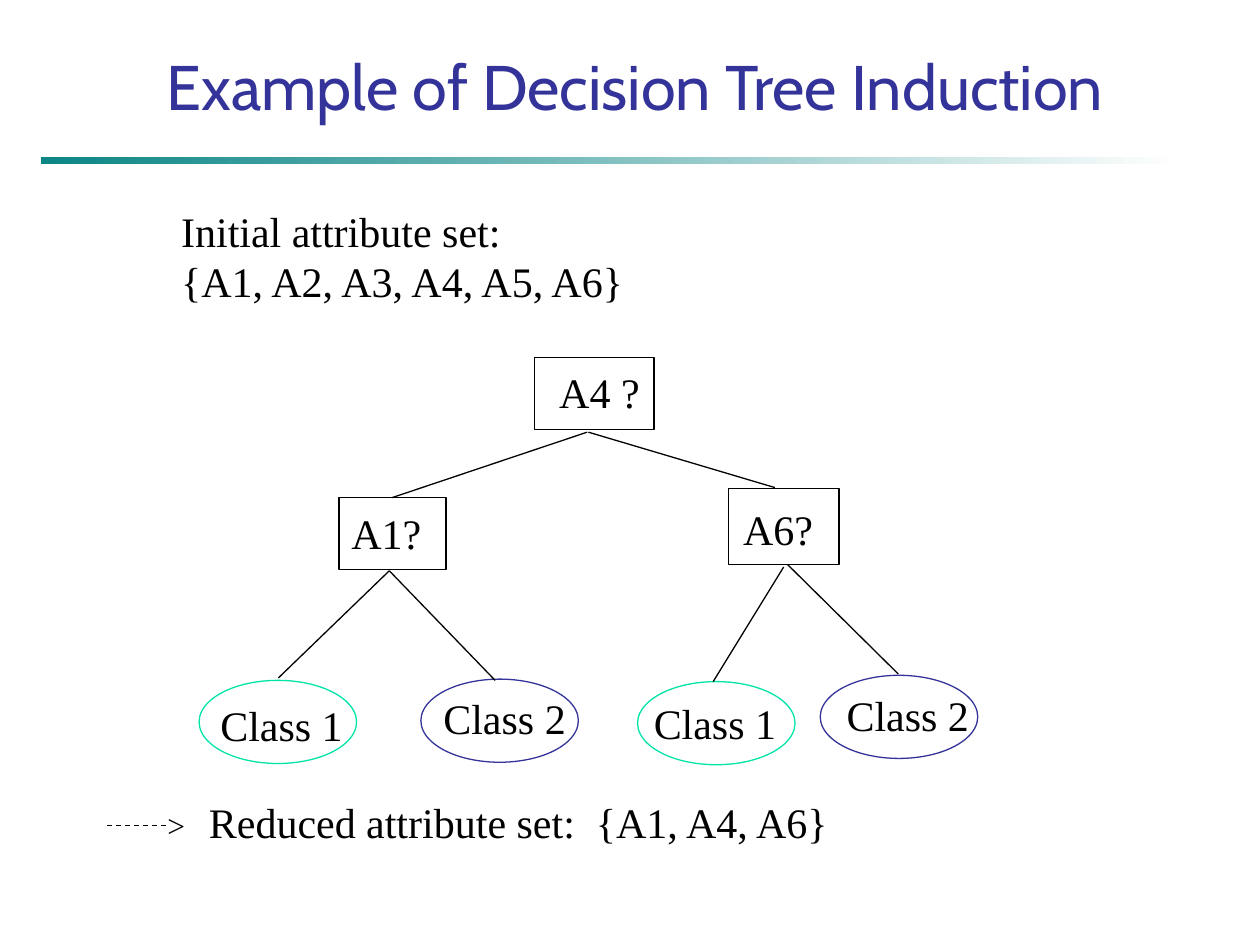
from lxml import etree
from pptx import Presentation
from pptx.dml.color import RGBColor
from pptx.enum.dml import MSO_LINE
from pptx.enum.shapes import MSO_CONNECTOR, MSO_SHAPE
from pptx.enum.text import MSO_ANCHOR, MSO_AUTO_SIZE, PP_ALIGN
from pptx.oxml.ns import qn
from pptx.util import Inches, Pt

RECTANGLE, OVAL = MSO_SHAPE.RECTANGLE, MSO_SHAPE.OVAL
STRAIGHT = MSO_CONNECTOR.STRAIGHT
DASH = MSO_LINE.DASH
CENTER, TOP = PP_ALIGN.CENTER, MSO_ANCHOR.TOP
FIT_SHAPE = MSO_AUTO_SIZE.SHAPE_TO_FIT_TEXT

THEME = {
    "title": {"name": "Cabin", "size": Pt(36), "color": "333399", "bold": False},
    "body": {"name": "Times New Roman", "size": Pt(24), "color": "000000"},
    "arrow": {"name": "Times New Roman", "size": Pt(18), "color": "000000"},
    "line": "000000",
    "class_1": "00E4A8",
    "class_2": "333399",
    "rule": ("008080", "FFFFFF"),
    "rule_opacity": 95,
    "line_width": Pt(0.75),
}

TITLE = "Example of Decision Tree Induction"
TITLE_BOX = (0.83, 0.33, 8.42, 1.3)
RULE_BOX = (0.33, 1.25, 9, 0.05)

NOTES = [
    (["Initial attribute set:", "{A1, A2, A3, A4, A5, A6}"], (1.34, 1.58, 3.8, 0.9)),
    (["Reduced attribute set:  {A1, A4, A6}"], (1.56, 6.27, 5.15, 0.5)),
]

TESTS = [
    ("A4 ?", (4.24, 2.84, 0.95, 0.57), (4.34, 2.86, 0.97, 0.5)),
    ("A1?", (2.69, 3.95, 0.85, 0.57), (2.69, 3.98, 0.8, 0.5)),
    ("A6?", (5.78, 3.88, 0.88, 0.6), (5.8, 3.95, 0.8, 0.5)),
]

LEAF_SIZE = (1.25, 0.66)
LEAF_LABEL_SIZE = (1.18, 0.5)
LEAVES = [
    ("Class 1", "class_1", (1.58, 5.4), (1.65, 5.5)),
    ("Class 2", "class_2", (3.34, 5.39), (3.42, 5.45)),
    ("Class 1", "class_1", (5.06, 5.41), (5.09, 5.49)),
    ("Class 2", "class_2", (6.51, 5.36), (6.62, 5.42)),
]

BRANCHES = [
    ((4.66, 3.43), (3.11, 3.95)),
    ((4.67, 3.43), (6.15, 3.87)),
    ((3.09, 4.53), (2.21, 5.38)),
    ((3.09, 4.53), (3.93, 5.4)),
    ((6.22, 4.5), (5.66, 5.41)),
    ((6.25, 4.48), (7.13, 5.35)),
]

ARROW_LINE = ((0.85, 6.55), (1.33, 6.55))
ARROW_HEAD = (">", (1.23, 6.35, 0.34, 0.4))


def inches(values):
    return [Inches(value) for value in values]


def set_format(target, values):
    for name, value in values.items():
        if name == "color":
            target.color.rgb = RGBColor.from_string(value)
        else:
            setattr(target, name, value)


def add_text(shapes, lines, box, style="body"):
    frame = shapes.add_textbox(*inches(box)).text_frame
    set_format(frame, {"text": "\n".join(lines), "word_wrap": False, "auto_size": FIT_SHAPE})
    for paragraph in frame.paragraphs:
        set_format(paragraph.font, THEME[style])


def add_outline(shapes, kind, box, color):
    shape = shapes.add_shape(kind, *inches(box))
    shape.shadow.inherit = False
    shape.fill.background()
    set_format(shape.line, {"color": THEME[color], "width": THEME["line_width"]})


def add_line(shapes, start, end, dash=None):
    connector = shapes.add_connector(STRAIGHT, *inches(start + end))
    set_format(connector.line, {"color": THEME["line"], "width": THEME["line_width"]})
    if dash:
        connector.line.dash_style = dash
    etree.SubElement(connector._element.spPr, qn("a:effectLst"))


def add_rule(shapes):
    rule = shapes.add_shape(RECTANGLE, *inches(RULE_BOX))
    rule.shadow.inherit = False
    rule.line.fill.background()
    rule.fill.gradient()
    rule.fill.gradient_angle = 0
    for position, (stop, color) in enumerate(zip(rule.fill.gradient_stops, THEME["rule"])):
        stop.position = position
        stop.color.rgb = RGBColor.from_string(color)
    first_color = next(rule._element.spPr.iter(qn("a:srgbClr")))
    etree.SubElement(first_color, qn("a:alpha"), val=str(THEME["rule_opacity"] * 1000))


def add_title(slide):
    title = slide.shapes.title
    left, top, width, height = inches(TITLE_BOX)
    set_format(title, {"left": left, "top": top, "width": width, "height": height})
    frame = title.text_frame
    set_format(frame, {"text": TITLE, "vertical_anchor": TOP, "word_wrap": True})
    paragraph = frame.paragraphs[0]
    paragraph.alignment = CENTER
    set_format(paragraph.font, THEME["title"])


def main():
    presentation = Presentation()
    presentation.slide_width, presentation.slide_height = Inches(10), Inches(7.5)
    slide = presentation.slides.add_slide(presentation.slide_layouts[5])
    shapes = slide.shapes

    add_rule(shapes)
    add_title(slide)
    for lines, box in NOTES:
        add_text(shapes, lines, box)
    for label, box, label_box in TESTS:
        add_outline(shapes, RECTANGLE, box, "line")
        add_text(shapes, [label], label_box)
    for label, color, position, label_position in LEAVES:
        add_outline(shapes, OVAL, position + LEAF_SIZE, color)
        add_text(shapes, [label], label_position + LEAF_LABEL_SIZE)
    for start, end in BRANCHES:
        add_line(shapes, start, end)

    arrow = shapes.add_group_shape()
    add_line(arrow.shapes, *ARROW_LINE, dash=DASH)
    head, head_box = ARROW_HEAD
    add_text(arrow.shapes, [head], head_box, "arrow")

    presentation.save("out.pptx")


if __name__ == "__main__":
    main()
